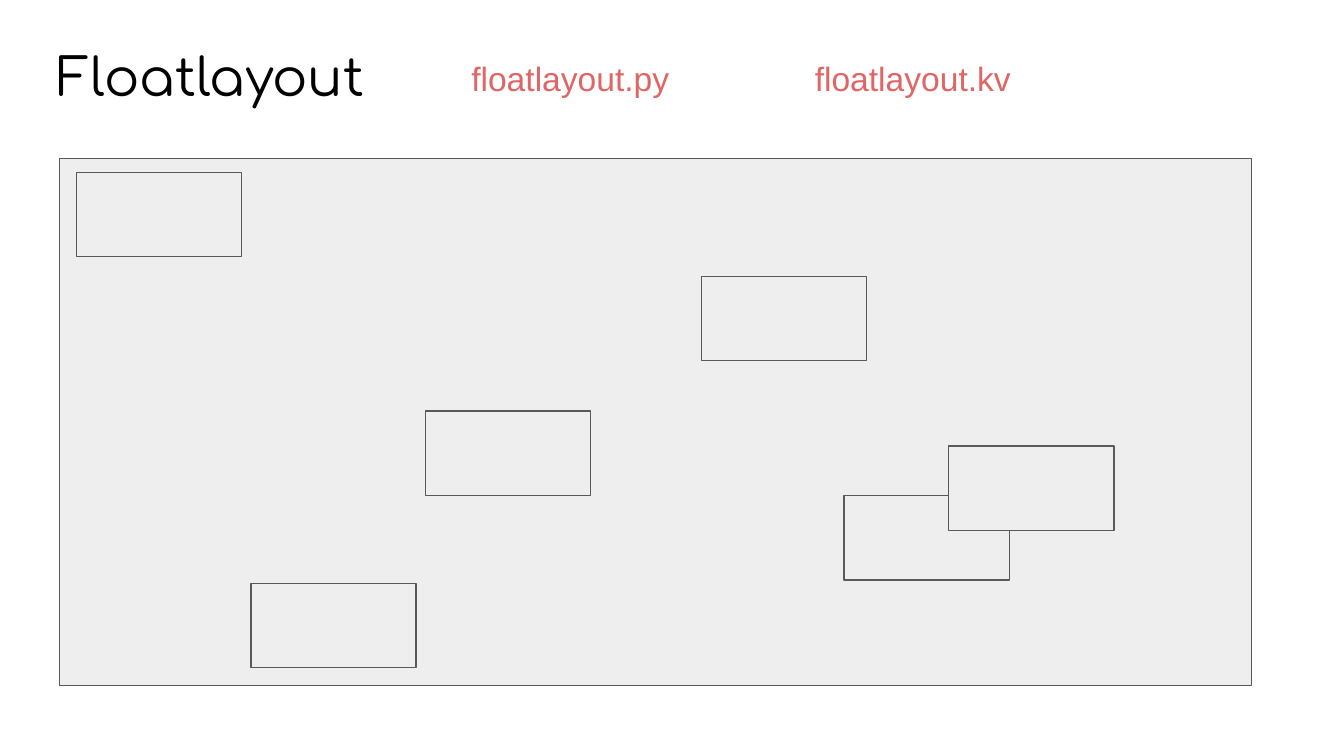
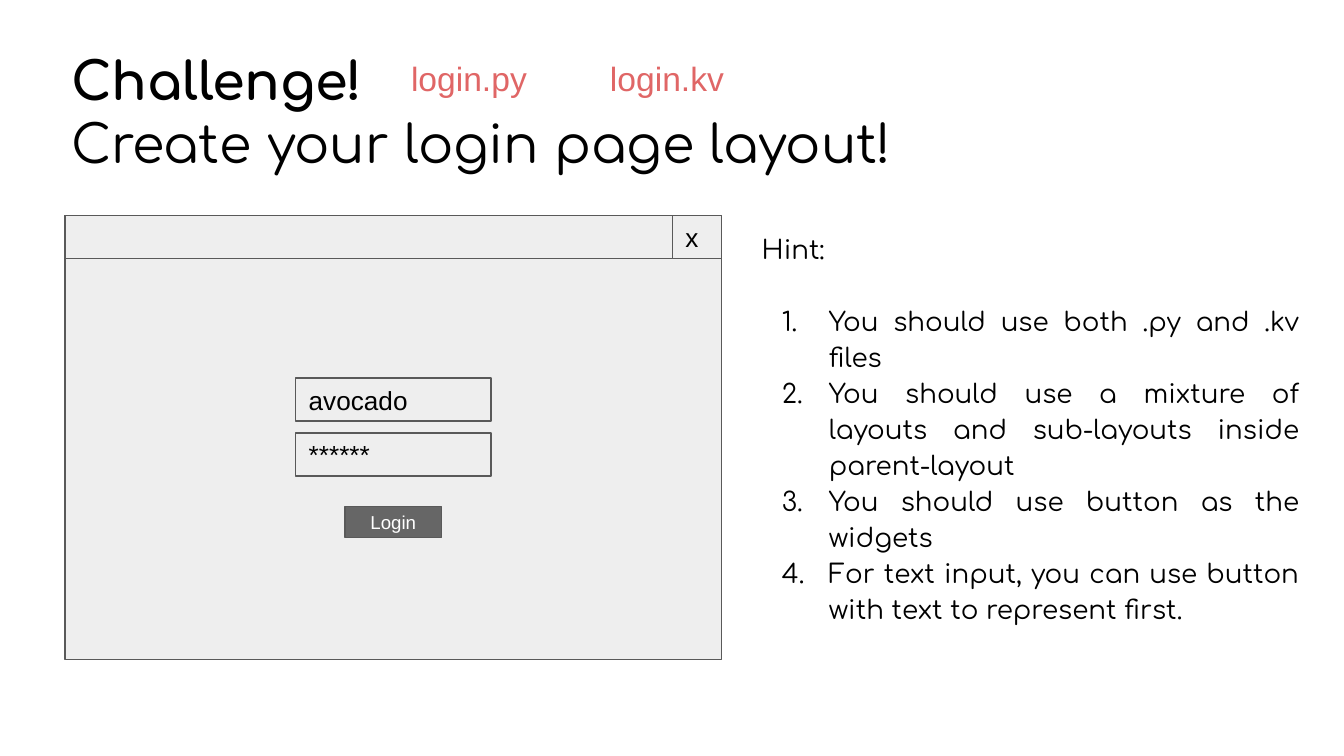
from lxml import etree
from pptx import Presentation
from pptx.dml.color import RGBColor
from pptx.enum.shapes import MSO_SHAPE
from pptx.enum.text import MSO_ANCHOR, PP_ALIGN
from pptx.oxml.ns import qn
from pptx.util import Pt

RECT = MSO_SHAPE.RECTANGLE
TOP, MIDDLE = MSO_ANCHOR.TOP, MSO_ANCHOR.MIDDLE
LEFT, CENTER, JUSTIFY = PP_ALIGN.LEFT, PP_ALIGN.CENTER, PP_ALIGN.JUSTIFY

BLACK = RGBColor(0x00, 0x00, 0x00)
WHITE = RGBColor(0xFF, 0xFF, 0xFF)
CORAL = RGBColor(0xE0, 0x66, 0x66)
PALE = RGBColor(0xEE, 0xEE, 0xEE)
GRAY = RGBColor(0x66, 0x66, 0x66)
EDGE = RGBColor(0x59, 0x59, 0x59)

HEAD, BODY = "Comfortaa", "Arial"
INSET = 7.2
BAR = 23.2


def write(shape, lines, size, face, color, align=LEFT, anchor=TOP):
    frame = shape.text_frame
    frame.word_wrap = True
    frame.vertical_anchor = anchor
    frame.margin_left = frame.margin_right = Pt(INSET)
    frame.margin_top = frame.margin_bottom = Pt(INSET)
    for i, line in enumerate(lines):
        para = frame.add_paragraph() if i else frame.paragraphs[0]
        para.text = line
        para.alignment = align
        para.font.size = Pt(size)
        para.font.name = face
        para.font.color.rgb = color
    return frame.paragraphs


def add_text(slide, box, lines, size, face, color, align=LEFT):
    shape = slide.shapes.add_textbox(*map(Pt, box))
    return write(shape, lines, size, face, color, align)


def add_box(slide, box, text="", fill=PALE, color=BLACK, size=14, align=LEFT):
    shape = slide.shapes.add_shape(RECT, *map(Pt, box))
    shape.shadow.inherit = False
    shape.fill.solid()
    shape.fill.fore_color.rgb = fill
    shape.line.color.rgb = EDGE
    shape.line.width = Pt(0.75)
    if text:
        write(shape, [text], size, BODY, color, align, MIDDLE)


def add_title(slide, box, lines):
    return add_text(slide, box, lines, 28, HEAD, BLACK)


def add_files(slide, names, left, step, width):
    for i, name in enumerate(names):
        box = (left + i * step, 23.8, width, 36)
        add_text(slide, box, [name], 18, BODY, CORAL)


def add_float(slide, box, spots):
    left, top = box[:2]
    add_box(slide, box)
    for x, y in spots:
        add_box(slide, (left + x, top + y, 88.5, 45.2))


def add_login(slide, box):
    left, top, width, height = box
    mid = left + width / 2
    add_box(slide, box)
    for i, text in enumerate(("avocado", "******")):
        add_box(slide, (mid - 52.4, top + 87.2 + i * 29.4, 104.8, BAR), text)
    add_box(slide, (mid - 25.8, top + 156, 51.6, 16.8), "Login",
            GRAY, WHITE, 10, CENTER)
    add_box(slide, (left, top, width, BAR))
    add_box(slide, (left + width - 26.4, top, 26.4, BAR), "x")


def number(para):
    props = para._p.get_or_add_pPr()
    props.set("marL", str(Pt(36)))
    props.set("indent", str(Pt(-25.2)))
    tint = etree.SubElement(props, qn("a:buClr"))
    etree.SubElement(tint, qn("a:srgbClr"), val=str(BLACK))
    etree.SubElement(props, qn("a:buFont"), typeface=HEAD)
    etree.SubElement(props, qn("a:buAutoNum"), type="arabicPeriod")


def add_hints(slide, box, head, hints):
    paras = add_text(slide, box, [head, *hints], 14, HEAD, BLACK, JUSTIFY)
    for para in paras:
        para.line_spacing = 1.15
    paras[0].space_after = Pt(19.3)
    for para in paras[1:]:
        para.font.size = Pt(14)
        number(para)


def float_slide(slide):
    add_title(slide, (24, 16.6, 458.6, 45.4), ["Floatlayout"])
    add_files(slide, ("floatlayout.py", "floatlayout.kv"), 245.4, 184, 134)
    add_float(slide, (31.8, 84.9, 638.6, 282.5), [
        (9.2, 7.4), (102.7, 227.6), (196.2, 135.2),
        (343.9, 63.2), (420.4, 180.6), (476.5, 154.1)])


def login_slide(slide):
    title = add_title(slide, (31, 18.7, 640, 81.4),
                      ["Challenge!", "Create your login page layout!"])
    title[0].font.bold = True
    add_hints(slide, (401, 115.3, 302.4, 257), "Hint:", [
        "You should use both .py and .kv files",
        "You should use a mixture of layouts and sub-layouts inside "
        "parent-layout",
        "You should use button as the widgets",
        "For text input, you can use button with text to represent first."])
    add_login(slide, (34.9, 115.3, 351.6, 238.2))
    add_files(slide, ("login.py", "login.kv"), 213.1, 106.6, 154)


def main():
    deck = Presentation()
    deck.slide_width, deck.slide_height = Pt(720), Pt(405)
    blank = deck.slide_layouts[6]
    for build in (float_slide, login_slide):
        build(deck.slides.add_slide(blank))
    deck.save("out.pptx")


if __name__ == "__main__":
    main()
